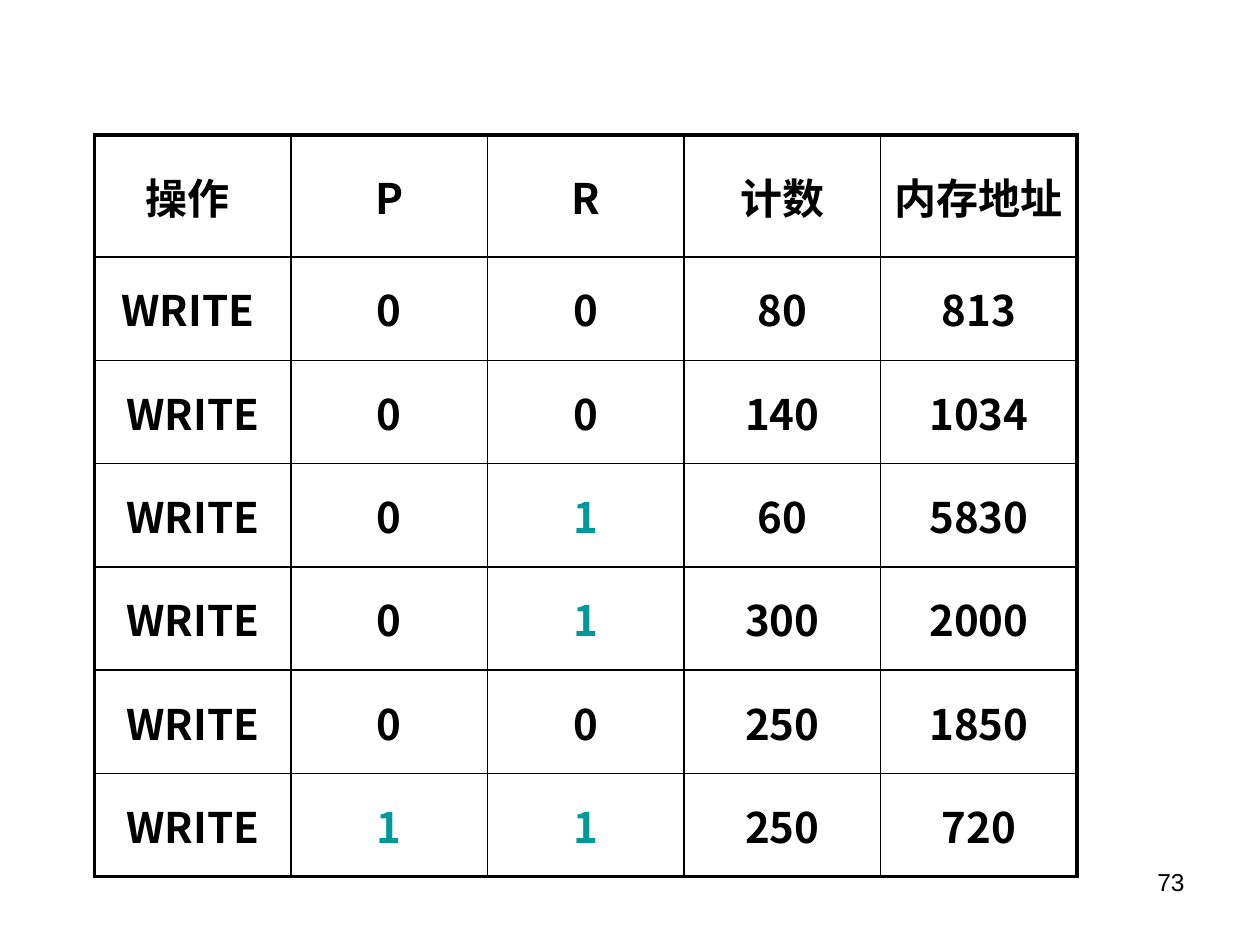
from lxml import etree
from pptx import Presentation
from pptx import util as u
from pptx.dml.color import RGBColor
from pptx.enum import text
from pptx.oxml import ns

COLORS = {"ink": "000000", "flag": "009999"}
THIN, THICK = 1, 2.25

HEADER = ["操作 ", "P", "R", "计数", "内存地址"]
OPERATIONS = [
    ["WRITE ", "0", "0", "80", "813"],
    ["WRITE", "0", "0", "140", "1034"],
    ["WRITE", "0", "1", "60", "5830"],
    ["WRITE", "0", "1", "300", "2000"],
    ["WRITE", "0", "0", "250", "1850"],
    ["WRITE", "1", "1", "250", "720"],
]


class SlideBuilder:
    """Holds the style and the current slide."""

    cell_font = {"name": "Noto Sans CJK SC", "size": u.Pt(24), "bold": True}
    number_font = {"name": "Arial", "size": u.Pt(14), "bold": False}

    def __init__(self, page):
        self.page = page

    def add_words(self, frame, words, font, color, align):
        para = frame.paragraphs[0]
        para.alignment = align
        span = para.add_run()
        span.text = words
        for key, value in font.items():
            setattr(span.font, key, value)
        span.font.color.rgb = RGBColor.from_string(COLORS[color])
        east_asian = etree.SubElement(span.font._element, ns.qn("a:ea"))
        east_asian.set("typeface", font["name"])

    def border(self, cell, side, points):
        properties = cell._tc.get_or_add_tcPr()
        line = etree.SubElement(properties, ns.qn(f"a:ln{side}"), w=str(u.Pt(points)))
        fill = etree.SubElement(line, ns.qn("a:solidFill"))
        etree.SubElement(fill, ns.qn("a:srgbClr"), val=COLORS["ink"])

    def table(self, rows, left, top, column_width, row_heights):
        row_count, column_count = len(rows), len(rows[0])
        frame = self.page.shapes.add_table(
            row_count, column_count, u.Inches(left), u.Inches(top),
            u.Inches(column_width * column_count), u.Inches(sum(row_heights)))
        table = frame.table
        table.first_row = table.horz_banding = False
        for column in table.columns:
            column.width = u.Inches(column_width)
        for row, height in zip(table.rows, row_heights):
            row.height = u.Inches(height)

        for r, row in enumerate(rows):
            for c, words in enumerate(row):
                cell = table.cell(r, c)
                # Thick frame outside, thin grid inside
                outer = {"L": c == 0, "R": c == column_count - 1,
                         "T": r == 0, "B": r == row_count - 1}
                for side, is_outer in outer.items():
                    self.border(cell, side, THICK if is_outer else THIN)
                cell.fill.background()
                cell.vertical_anchor = text.MSO_ANCHOR.MIDDLE
                color = "flag" if words == "1" else "ink"
                self.add_words(cell.text_frame, words, self.cell_font, color,
                               text.PP_ALIGN.CENTER)

    def page_number(self, number, left, top, width, height):
        box = self.page.shapes.add_textbox(*map(u.Inches, (left, top, width, height)))
        box.text_frame.word_wrap = True
        self.add_words(box.text_frame, number, self.number_font, "ink",
                       text.PP_ALIGN.RIGHT)


def main():
    deck = Presentation()
    deck.slide_width, deck.slide_height = u.Inches(10), u.Inches(7.5)
    builder = SlideBuilder(deck.slides.add_slide(deck.slide_layouts[6]))

    # Page number
    builder.page_number("73", 7.17, 6.83, 2.33, 0.52)

    # Table of write operations
    heights = [0.97] + [0.82] * len(OPERATIONS)
    builder.table([HEADER] + OPERATIONS, 0.75, 1.07, 1.56, heights)

    deck.save("out.pptx")


if __name__ == "__main__":
    main()
